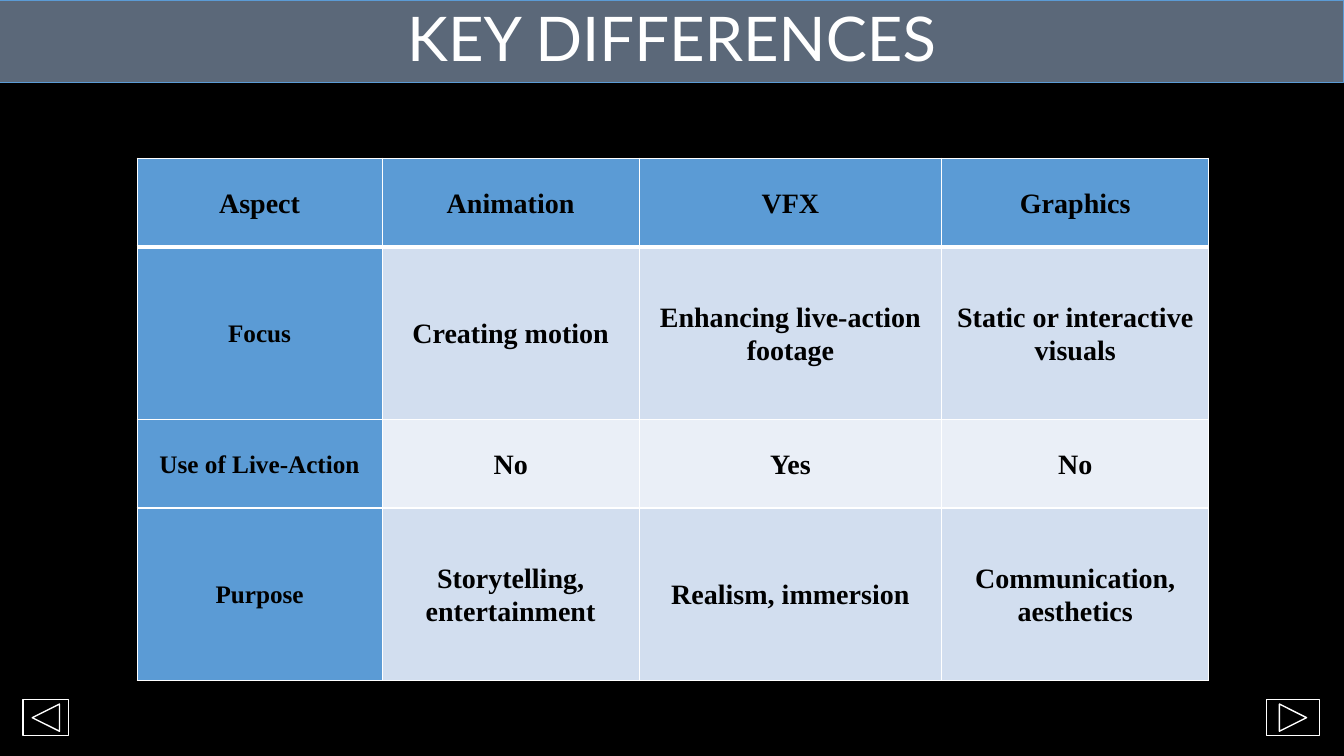
import pptx
import pptx.util
import pptx.oxml
import pptx.dml.color
import pptx.enum.shapes
import pptx.enum.text
from lxml import etree

Inches, Pt = pptx.util.Inches, pptx.util.Pt
RGB = pptx.dml.color.RGBColor.from_string
SHAPE = pptx.enum.shapes.MSO_SHAPE
MIDDLE = pptx.enum.text.MSO_ANCHOR.MIDDLE
CENTER = pptx.enum.text.PP_ALIGN.CENTER

# Content
TITLE = "KEY DIFFERENCES"
ROWS = [
    ("Aspect", "Animation", "VFX", "Graphics"),
    ("Focus", "Creating motion", "Enhancing live-action footage", "Static or interactive visuals"),
    ("Use of Live-Action", "No", "Yes", "No"),
    ("Purpose", "Storytelling, entertainment", "Realism, immersion", "Communication, aesthetics"),
]
COLUMN_WIDTHS = (2.43, 2.55, 3, 2.65)
ROW_HEIGHTS = (0.88, 1.71, 0.88, 1.71)
BUTTONS = [
    (SHAPE.ACTION_BUTTON_BACK_OR_PREVIOUS, 0.23, 0.45),
    (SHAPE.ACTION_BUTTON_FORWARD_OR_NEXT, 12.56, 0.53),
]
THEME = {
    "page": "000000", "banner": "8497B0", "banner_alpha": 69, "accent": "5B9BD5",
    "bands": ("D2DEEF", "EAEFF7"), "light": "FFFFFF", "dark": "000000",
    "title": {"name": "Lato", "size": Pt(44), "bold": False},
    "cell": {"name": "Times New Roman", "size": Pt(20), "bold": True},
    "label": {"name": "Times New Roman", "size": Pt(18), "bold": True},
}
WIDTH, HEIGHT = 13.33, 7.5


def paint(fill, color):
    fill.solid()
    fill.fore_color.rgb = RGB(color)


def write(frame, text, style, color, spacing):
    para = frame.paragraphs[0]
    para.alignment, para.line_spacing = CENTER, spacing
    span = para.add_run()
    span.text = text
    for name, value in THEME[style].items():
        setattr(span.font, name, value)
    span.font.color.rgb = RGB(color)


def add_shape(page, kind, place, line_color, line_width):
    shape = page.shapes.add_shape(kind, *map(Inches, place))
    shape.shadow.inherit = False
    shape.line.color.rgb = RGB(line_color)
    shape.line.width = Pt(line_width)
    return shape


def add_borders(cell, top, bottom):
    properties = cell._tc.get_or_add_tcPr()
    for side, points in (("L", 1), ("R", 1), ("T", top), ("B", bottom)):
        line = etree.SubElement(properties, pptx.oxml.ns.qn("a:ln" + side), w=str(Pt(points)))
        fill = etree.SubElement(line, pptx.oxml.ns.qn("a:solidFill"))
        etree.SubElement(fill, pptx.oxml.ns.qn("a:srgbClr"), val=THEME["light"])


def add_banner(page):
    banner = add_shape(page, SHAPE.RECTANGLE, (0, 0, WIDTH, 0.82), THEME["accent"], 0.75)
    paint(banner.fill, THEME["banner"])
    color = banner.fill._xPr.find(".//" + pptx.oxml.ns.qn("a:srgbClr"))
    etree.SubElement(color, pptx.oxml.ns.qn("a:alpha"), val=str(THEME["banner_alpha"] * 1000))
    banner.text_frame.vertical_anchor = MIDDLE
    write(banner.text_frame, TITLE, "title", THEME["light"], 0.9)


def add_comparison(page):
    size = Inches(sum(COLUMN_WIDTHS)), Inches(sum(ROW_HEIGHTS))
    table = page.shapes.add_table(
        len(ROWS), len(COLUMN_WIDTHS), Inches(1.36), Inches(1.57), *size).table
    for column, width in zip(table.columns, COLUMN_WIDTHS):
        column.width = Inches(width)
    for r, (texts, height) in enumerate(zip(ROWS, ROW_HEIGHTS)):
        table.rows[r].height = Inches(height)
        for c, text in enumerate(texts):
            cell = table.cell(r, c)
            for side in ("left", "right", "top", "bottom"):
                setattr(cell, "margin_" + side, Inches(0.01))
            cell.vertical_anchor = MIDDLE
            # A thick rule separates the header from the body
            add_borders(cell, 3 if r == 1 else 1, 3 if r == 0 else 1)
            is_heading = r == 0 or c == 0
            paint(cell.fill, THEME["accent"] if is_heading else THEME["bands"][(r - 1) % 2])
            style = "label" if c == 0 and r > 0 else "cell"
            write(cell.text_frame, text, style, THEME["dark"], 1.07)


def main():
    deck = pptx.Presentation()
    deck.slide_width, deck.slide_height = Inches(WIDTH), Inches(HEIGHT)
    page = deck.slides.add_slide(deck.slide_layouts[6])
    paint(page.background.fill, THEME["page"])
    add_banner(page)
    add_comparison(page)
    # Navigation buttons
    for kind, left, width in BUTTONS:
        button = add_shape(page, kind, (left, 6.94, width, 0.36), THEME["light"], 1)
        button.fill.background()
    deck.save("out.pptx")


if __name__ == "__main__":
    main()
